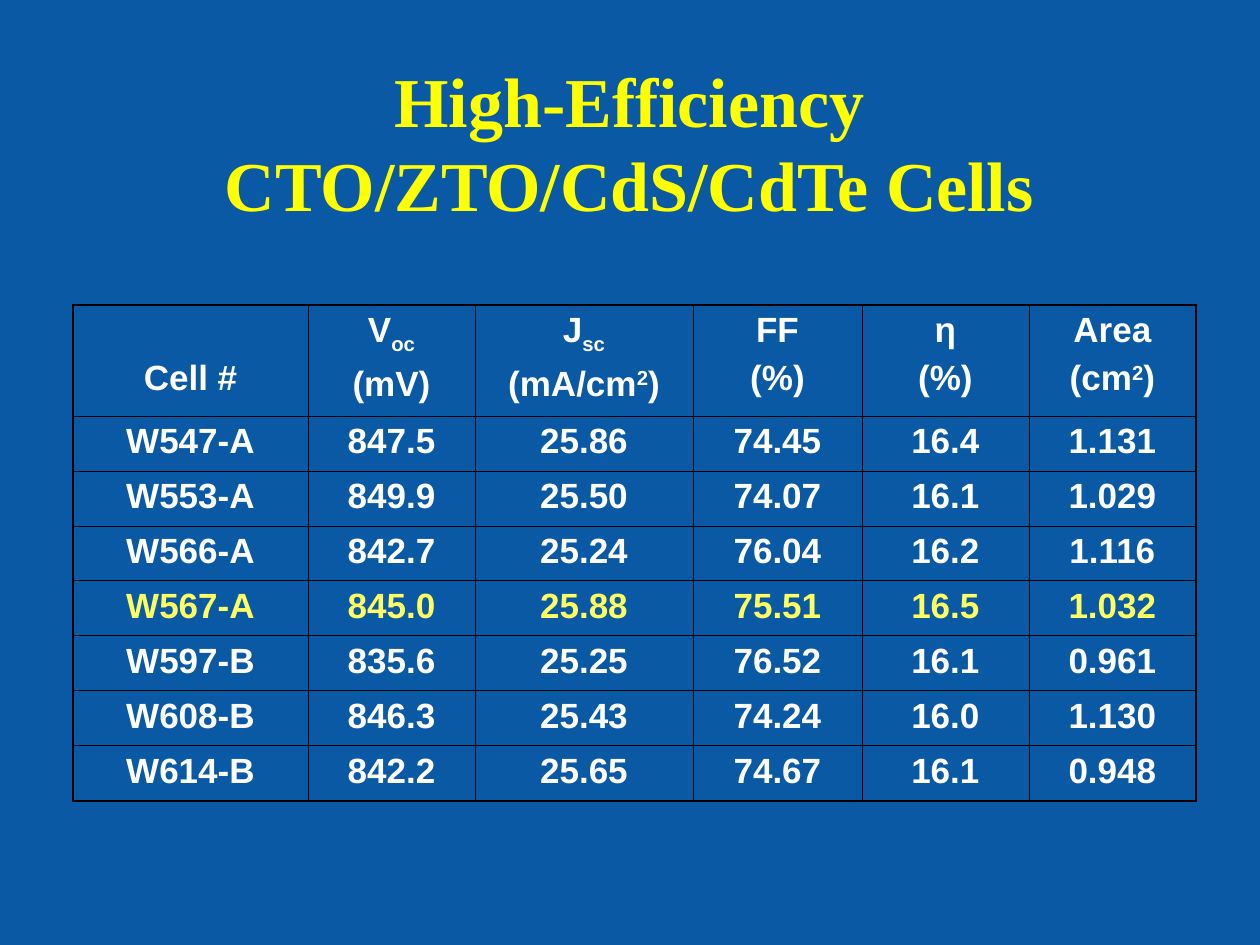
from lxml.etree import SubElement
from pptx import Presentation
from pptx.dml.color import RGBColor
from pptx.enum.text import MSO_ANCHOR as ANCHOR, MSO_AUTO_SIZE as AUTO_SIZE, PP_ALIGN as ALIGN
from pptx.oxml.ns import qn
from pptx.util import Emu, Pt

BLUE = RGBColor(0x09, 0x59, 0xA5)
YELLOW = RGBColor(0xFF, 0xFF, 0x00)
PALE_YELLOW = RGBColor(0xFE, 0xFF, 0x60)
WHITE = RGBColor(0xFF, 0xFF, 0xFF)
BLACK = RGBColor(0x00, 0x00, 0x00)

EMU_PER_PX = 914400 // 126
SUB, SUP = -25000, 30000
INNER_LINE, OUTER_LINE = Pt(0.45), Pt(1.08)
COLUMN_WIDTHS = [235, 167, 218, 169, 167, 167]
HEADER_HEIGHT, ROW_HEIGHT = 111, 55
BEST_CELL = "W567-A"

HEADERS = [
    [["Cell #"]],
    [["V", ("oc", SUB)], ["(mV)"]],
    [["J", ("sc", SUB)], ["(mA/cm", ("2", SUP), ")"]],
    [["FF"], ["(%)"]],
    [["η"], ["(%)"]],
    [["Area"], ["(cm", ("2", SUP), ")"]],
]
RESULTS = [
    ["W547-A", "847.5", "25.86", "74.45", "16.4", "1.131"],
    ["W553-A", "849.9", "25.50", "74.07", "16.1", "1.029"],
    ["W566-A", "842.7", "25.24", "76.04", "16.2", "1.116"],
    ["W567-A", "845.0", "25.88", "75.51", "16.5", "1.032"],
    ["W597-B", "835.6", "25.25", "76.52", "16.1", "0.961"],
    ["W608-B", "846.3", "25.43", "74.24", "16.0", "1.130"],
    ["W614-B", "842.2", "25.65", "74.67", "16.1", "0.948"],
]


def px(n):
    return Emu(n * EMU_PER_PX)


def write_text(tf, paragraphs, font="Arial", size=20, color=WHITE, space_before=5):
    for i, runs in enumerate(paragraphs):
        p = tf.add_paragraph() if i else tf.paragraphs[0]
        p.alignment = ALIGN.CENTER
        if i:
            p.space_before = Pt(space_before)
        for run in runs:
            text, baseline = (run, 0) if isinstance(run, str) else run
            if text == "\n":
                p.add_line_break()
                continue
            r = p.add_run()
            r.text = text
            r.font.name, r.font.size, r.font.bold = font, Pt(size), True
            r.font.color.rgb = color
            if baseline:
                r.font._element.set("baseline", str(baseline))


def add_title(slide):
    sp = slide.shapes.title
    sp.left, sp.top, sp.width, sp.height = px(94), px(63), px(1071), px(157)
    tf = sp.text_frame
    tf.word_wrap = True
    tf.auto_size = AUTO_SIZE.NONE
    tf.vertical_anchor = ANCHOR.MIDDLE
    lines = ["High-Efficiency", "\n", "CTO/ZTO/CdS/CdTe Cells"]
    write_text(tf, [lines], font="Times New Roman", size=40, color=YELLOW)


def set_borders(cell, **widths):
    tcPr = cell._tc.get_or_add_tcPr()
    for side in "LRTB":
        ln = SubElement(tcPr, qn(f"a:ln{side}"), w=str(widths[side]))
        fill = SubElement(ln, qn("a:solidFill"))
        SubElement(fill, qn("a:srgbClr"), val=str(BLACK))


def add_table(slide):
    rows = [HEADERS] + [[[[value]] for value in row] for row in RESULTS]
    last_row, last_col = len(rows) - 1, len(COLUMN_WIDTHS) - 1
    heights = [HEADER_HEIGHT] + [ROW_HEIGHT] * last_row
    frame = slide.shapes.add_table(len(rows), len(COLUMN_WIDTHS), px(73), px(305),
                                   px(sum(COLUMN_WIDTHS)), px(sum(heights)))
    table = frame.table
    table.first_row = table.horz_banding = False
    for column, width in zip(table.columns, COLUMN_WIDTHS):
        column.width = px(width)
    for i, (row, height) in enumerate(zip(rows, heights)):
        table.rows[i].height = px(height)
        color = PALE_YELLOW if row[0] == [[BEST_CELL]] else WHITE
        for j, paragraphs in enumerate(row):
            cell = table.cell(i, j)
            write_text(cell.text_frame, paragraphs, color=color)
            set_borders(cell,
                        L=INNER_LINE if j else OUTER_LINE,
                        R=INNER_LINE if j < last_col else OUTER_LINE,
                        T=INNER_LINE if i else OUTER_LINE,
                        B=INNER_LINE if i < last_row else OUTER_LINE)
            cell.fill.background()
    corner = table.cell(0, 0)
    corner.vertical_anchor = ANCHOR.BOTTOM
    corner.margin_bottom = px(18)


def main():
    prs = Presentation()
    prs.slide_width, prs.slide_height = px(1260), px(945)
    slide = prs.slides.add_slide(prs.slide_layouts[5])
    slide.background.fill.solid()
    slide.background.fill.fore_color.rgb = BLUE
    add_title(slide)
    add_table(slide)
    prs.save("out.pptx")


if __name__ == "__main__":
    main()
